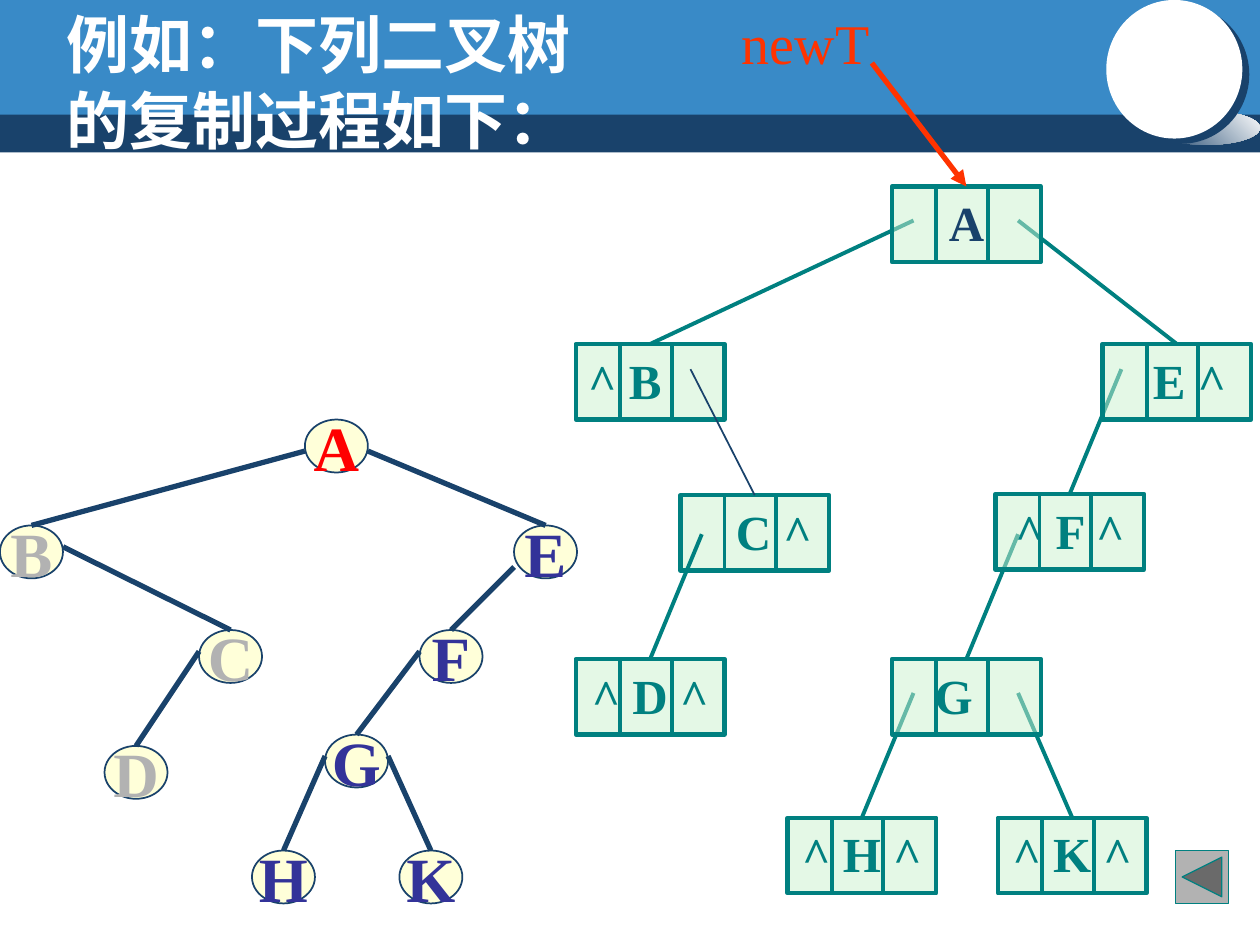
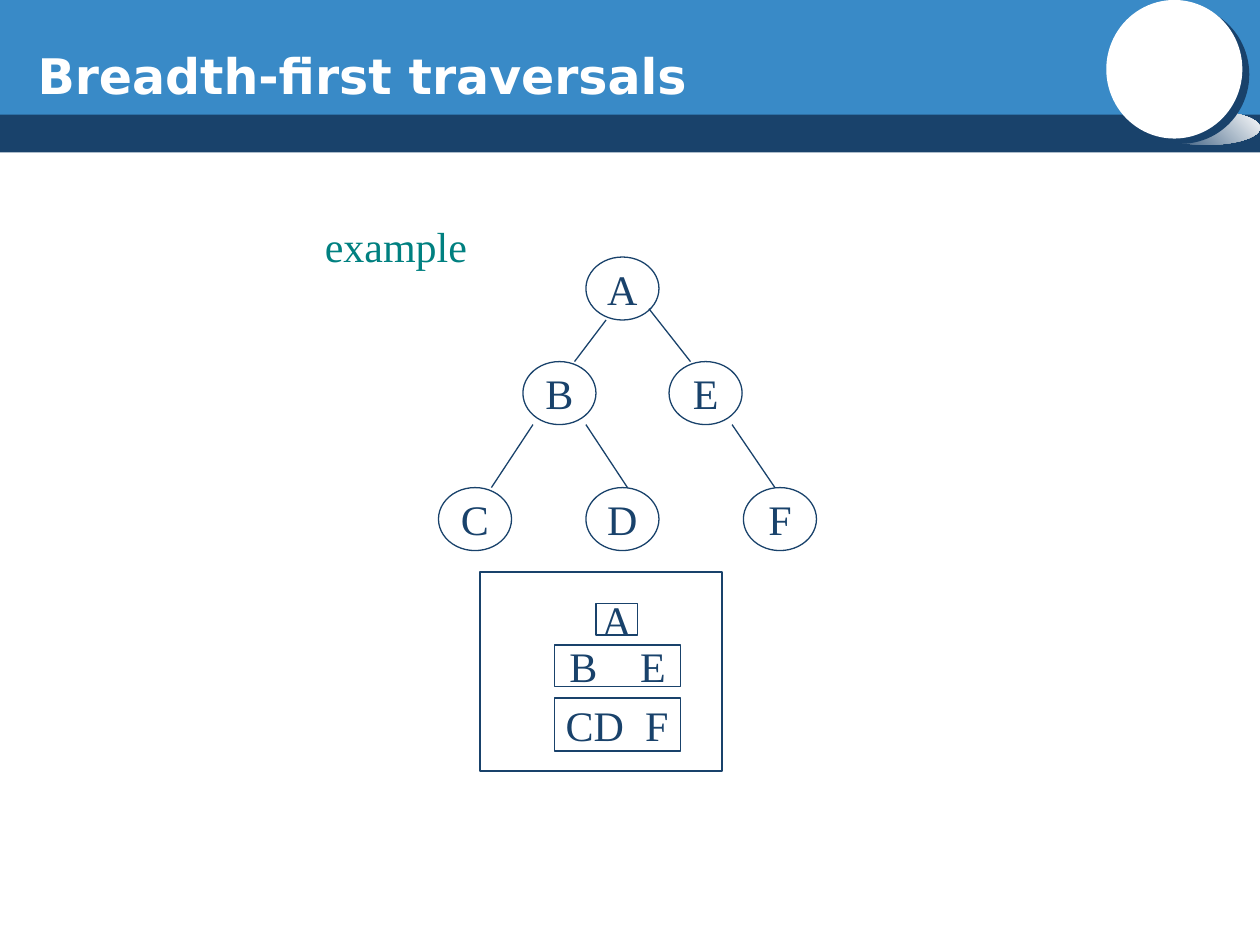
from dataclasses import dataclass

from lxml import etree
from pptx import Presentation
from pptx import util as u
from pptx.dml.color import RGBColor
from pptx.enum import shapes, text
from pptx.oxml import ns

FORM = shapes.MSO_SHAPE
LEFT, CENTER = text.PP_ALIGN.LEFT, text.PP_ALIGN.CENTER
ANCHOR = text.MSO_ANCHOR


@dataclass(frozen=True)
class Theme:
    navy: str = "19426B"
    blue: str = "398AC7"
    white: str = "FFFFFF"
    teal: str = "008080"
    mint: str = "CAF2CE"
    cream: str = "FFFFD9"
    grey: str = "B2B2B2"
    indigo: str = "333399"
    red: str = "FF0000"
    orange: str = "FF3300"
    serif: str = "Times New Roman"
    sans: str = "DejaVu Sans"
    chinese: str = "Noto Sans CJK SC"
    large: int = 36
    pointer: int = 32
    medium: int = 28
    small: int = 24


T = Theme()

# Slide 1: the source tree, letter -> left, top, colour
COPY_TITLE = "例如：下列二叉树的复制过程如下："
SOURCE_SIZE = (0.5, 0.42)
SOURCE_NODES = {
    "A": (2.42, 3.33, T.red),
    "B": (0, 4.17, T.grey),
    "C": (1.58, 5, T.grey),
    "D": (0.83, 5.92, T.grey),
    "E": (4.08, 4.17, T.indigo),
    "F": (3.33, 5, T.indigo),
    "G": (2.58, 5.83, T.indigo),
    "H": (2, 6.75, T.indigo),
    "K": (3.17, 6.75, T.indigo),
}
# parent, child, side of the parent (0 left, 1 right), drop below its top
SOURCE_EDGES = [
    ("A", "B", 0, 0.25), ("B", "C", 1, 0.17), ("C", "D", 0, 0.17),
    ("A", "E", 1, 0.25), ("E", "F", 0, 0.33), ("F", "G", 0, 0.17),
    ("G", "H", 0, 0.17), ("G", "K", 1, 0.17),
]

# Slide 1: the copied tree, letter -> left, top, label, label shift
RECORD_SIZE = (1.18, 0.6)
RECORD_DIVIDERS = (0.35, 0.76)
RECORDS = {
    "D": (4.57, 5.23, "^ D ^", 0),
    "C": (5.4, 3.93, "C ^", 0.15),
    "B": (4.57, 2.73, "^ B", 0),
    "H": (6.25, 6.49, "^ H ^", 0),
    "K": (7.92, 6.49, "^ K ^", 0),
    "G": (7.08, 5.23, "G", -0.1),
    "F": (7.9, 3.92, "^ F ^", 0),
    "E": (8.75, 2.73, "E ^", 0.1),
    "A": (7.08, 1.48, "A", 0),
}
# Links drawn right after a record: parent, child, start within the parent
LINKS_AFTER = {
    "C": [("C", "D", 0.17, 0.31)],
    "B": [("A", "B", 0.17, 0.27), ("B", "C", 0.91, 0.2)],
    "H": [("G", "H", 0.17, 0.27)],
    "K": [("G", "K", 1, 0.27)],
    "G": [("F", "G", 0.18, 0.32)],
    "F": [("E", "F", 0.15, 0.2)],
    "E": [("A", "E", 1, 0.27)],
}

# Slide 2
TRAVERSAL_TITLE = "Breadth-first traversals"
TREE_SIZE = (0.58, 0.5)
TREE_NODES = {
    "A": (4.65, 2.04), "B": (4.15, 2.87), "E": (5.31, 2.87),
    "C": (3.48, 3.87), "D": (4.65, 3.87), "F": (5.9, 3.87),
}
# parent, start within the parent, child, end along the child's top
TREE_EDGES = [
    ("A", 0.16, 0.5, "B", 0.41), ("B", 0.08, 0.5, "C", 0.42),
    ("B", 0.5, 0.5, "D", 0.33), ("A", 0.5, 0.41, "E", 0.17),
    ("E", 0.5, 0.5, "F", 0.25),
]
QUEUE_FRAME = (3.81, 4.54, 1.92, 1.58)
# groups of letters, box, left inset, tab stop
QUEUE_PAIRS = [
    (("B", "E"), (4.4, 5.12, 1, 0.33), 0.12, 0.56),
    (("CD", "F"), (4.4, 5.54, 1, 0.42), 0.09, 0.63),
]


def child(parent, tag, **attributes):
    return etree.SubElement(parent, ns.qn(tag), attributes)


def inches(*lengths):
    return [u.Inches(length) for length in lengths]


def add_form(slide, form, box, fill=None, line=None, width=0.75):
    shape = slide.shapes.add_shape(form, *inches(*box))
    shape.shadow.inherit = False
    if fill:
        shape.fill.solid()
        shape.fill.fore_color.rgb = RGBColor.from_string(fill)
    else:
        shape.fill.background()
    if line:
        shape.line.color.rgb = RGBColor.from_string(line)
        shape.line.width = u.Pt(width)
    else:
        shape.line.fill.background()
    return shape


def add_line(slide, start, end, color, width, target=None):
    """Draw a straight line; a target is joined at the middle of its top."""
    line = slide.shapes.add_connector(
        shapes.MSO_CONNECTOR.STRAIGHT, *inches(*start, *end))
    if target is not None:
        line.end_connect(target, 0)
    line.line.color.rgb = RGBColor.from_string(color)
    line.line.width = u.Pt(width)
    child(line.element.spPr, "a:effectLst")
    return line


def write(shape, label, size, color, font=T.serif, bold=False, align=CENTER,
          anchor=ANCHOR.MIDDLE, wrap=False):
    frame = shape.text_frame
    frame.word_wrap = wrap
    frame.vertical_anchor = anchor
    paragraph = frame.paragraphs[0]
    paragraph.alignment = align
    run = paragraph.add_run()
    run.text = label
    run.font.size = u.Pt(size)
    run.font.bold = bold
    run.font.color.rgb = RGBColor.from_string(color)
    run.font.name = font
    child(run.font._element, "a:ea", typeface=font)
    return paragraph


def add_label(slide, box, label, size, color, **style):
    label_box = slide.shapes.add_textbox(*inches(*box))
    return write(label_box, label, size, color, align=LEFT, **style)


def add_header(slide):
    add_form(slide, FORM.RECTANGLE, (0, 0.87, 10, 0.34), T.navy)
    add_form(slide, FORM.RECTANGLE, (0, 0, 10, 0.91), T.blue)
    glow = add_form(slide, FORM.OVAL, (9.15, 0.88, 0.85, 0.27))
    glow.fill.gradient()
    glow.fill.gradient_angle = 45
    for stop, color in zip(glow.fill.gradient_stops, (T.navy, T.white)):
        stop.color.rgb = RGBColor.from_string(color)
    disc = add_form(slide, FORM.OVAL, (8.78, 0, 1.08, 1.1), T.white)
    effects = disc.element.spPr.find(ns.qn("a:effectLst"))
    shadow = child(effects, "a:outerShdw", blurRad="0", dist=str(u.Pt(5)),
                   dir=str(37 * 60000), algn="ctr", rotWithShape="0")
    child(shadow, "a:srgbClr", val=T.navy)


def add_source_tree(slide):
    ovals = {}
    for letter, (left, top, color) in SOURCE_NODES.items():
        ovals[letter] = add_form(slide, FORM.OVAL, (left, top, *SOURCE_SIZE),
                                 T.cream, T.navy, 1)
        write(ovals[letter], letter, T.large, color, bold=True)
    for parent, kid, side, drop in SOURCE_EDGES:
        left, top, _ = SOURCE_NODES[parent]
        kid_left, kid_top, _ = SOURCE_NODES[kid]
        add_line(slide, (left + side * SOURCE_SIZE[0], top + drop),
                 (kid_left + SOURCE_SIZE[0] / 2, kid_top), T.navy, 3,
                 ovals[kid])


def add_record(slide, letter):
    left, top, label, shift = RECORDS[letter]
    record = add_form(slide, FORM.RECTANGLE, (left, top, *RECORD_SIZE),
                      T.mint, T.teal, 2.5)
    tint = record.element.spPr.find(ns.qn("a:solidFill"))[0]
    child(tint, "a:alpha", val="50000")
    color = T.navy if letter == "A" else T.teal
    align = LEFT if letter == "B" else CENTER
    write(record, label, T.medium, color, bold=True, align=align,
          anchor=ANCHOR.TOP, wrap=True)
    record.text_frame.margin_left = u.Inches(0.1 + max(0, 2 * shift))
    record.text_frame.margin_right = u.Inches(0.1 + max(0, -2 * shift))
    for offset in RECORD_DIVIDERS:
        add_line(slide, (left + offset, top + 0.01),
                 (left + offset, top + 0.59), T.teal, 2.25)
    return record


def add_copied_tree(slide):
    records = {}
    for letter in RECORDS:
        records[letter] = add_record(slide, letter)
        for parent, kid, dx, dy in LINKS_AFTER.get(letter, []):
            left, top = RECORDS[parent][:2]
            color, width = (T.navy, 1) if parent == "B" else (T.teal, 2.25)
            kid_left, kid_top = RECORDS[kid][:2]
            add_line(slide, (left + dx, top + dy),
                     (kid_left + RECORD_SIZE[0] / 2, kid_top),
                     color, width, records[kid])
    arrow = add_line(slide, (6.92, 0.5), (7.67, 1.48), T.orange, 3,
                     records["A"])
    child(arrow.line._get_or_add_ln(), "a:tailEnd", type="triangle")
    add_label(slide, (5.79, 0.02, 1.21, 0.63), "newT", T.pointer, T.orange,
              anchor=ANCHOR.TOP)


def add_copy_slide(slide):
    add_header(slide)
    add_source_tree(slide)
    add_copied_tree(slide)
    title = add_label(slide, (0.43, 0, 4.27, 1.3), COPY_TITLE, T.large,
                      T.white, font=T.chinese, bold=True, anchor=ANCHOR.TOP,
                      wrap=True)
    title.line_spacing = u.Pt(43)
    add_form(slide, FORM.ACTION_BUTTON_BACK_OR_PREVIOUS,
             (9.33, 6.75, 0.42, 0.42), T.grey, T.teal)


def add_queue(slide):
    add_form(slide, FORM.RECTANGLE, QUEUE_FRAME, line=T.navy)
    root = add_form(slide, FORM.RECTANGLE, (4.73, 4.79, 0.33, 0.25),
                    line=T.navy)
    write(root, "A", T.small, T.navy)
    for groups, box, inset, stop in QUEUE_PAIRS:
        level = add_form(slide, FORM.RECTANGLE, box, line=T.navy)
        level.text_frame.margin_left = u.Inches(inset)
        level.text_frame.margin_right = 0
        row = write(level, "\t".join(groups), T.small, T.navy, align=LEFT,
                    wrap=True)
        tabs = child(row._p.get_or_add_pPr(), "a:tabLst")
        child(tabs, "a:tab", pos=str(u.Inches(stop)), algn="l")


def add_traversal_slide(slide):
    add_header(slide)
    add_label(slide, (0.2, 0.28, 8.5, 0.63), TRAVERSAL_TITLE, T.medium,
              T.white, font=T.sans, bold=True, wrap=True)
    add_label(slide, (2.48, 1.7, 1.33, 0.5), "example", T.small, T.teal,
              anchor=ANCHOR.TOP)
    for letter, place in TREE_NODES.items():
        oval = add_form(slide, FORM.OVAL, (*place, *TREE_SIZE), line=T.navy)
        write(oval, letter, T.small, T.navy)
    for parent, dx, dy, kid, kid_dx in TREE_EDGES:
        left, top = TREE_NODES[parent]
        kid_left, kid_top = TREE_NODES[kid]
        add_line(slide, (left + dx, top + dy), (kid_left + kid_dx, kid_top),
                 T.navy, 0.75)
    add_queue(slide)


def main():
    deck = Presentation()
    deck.slide_width, deck.slide_height = inches(10, 7.5)
    for fill_slide in (add_copy_slide, add_traversal_slide):
        fill_slide(deck.slides.add_slide(deck.slide_layouts[6]))
    deck.save("out.pptx")


if __name__ == "__main__":
    main()
